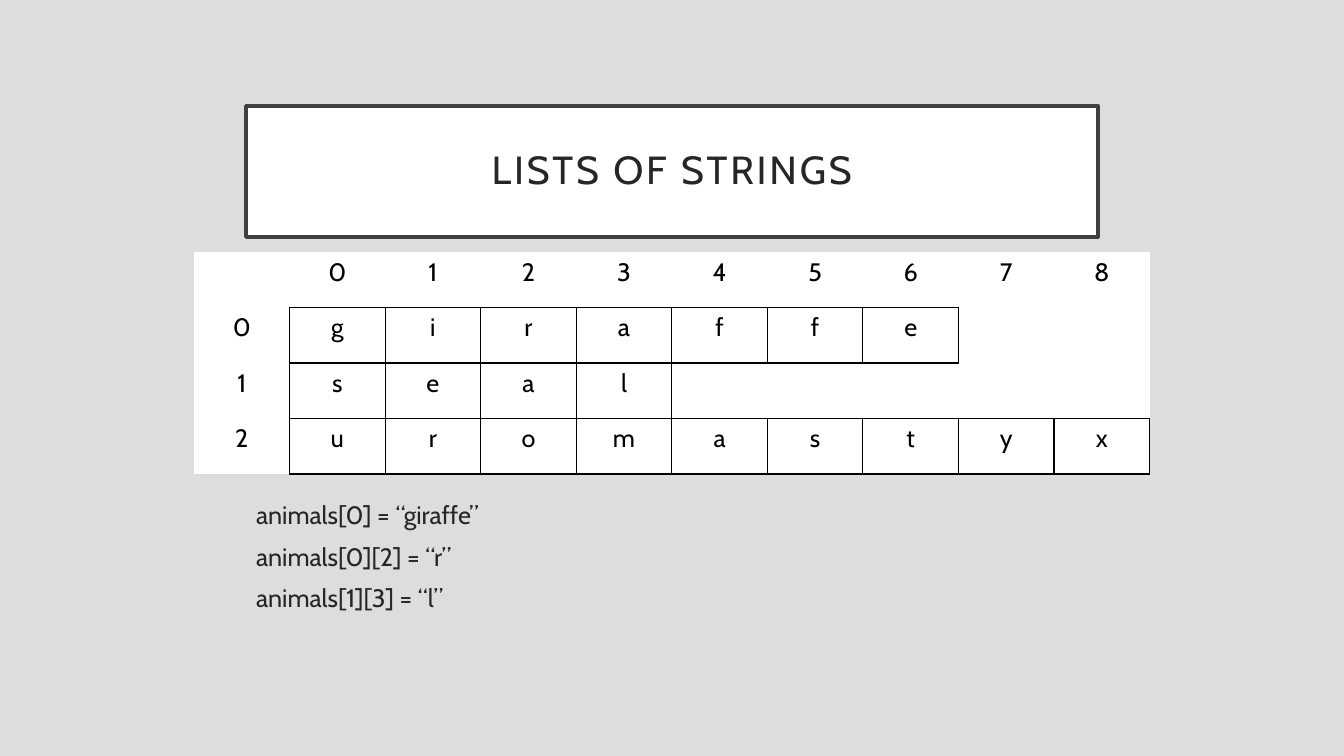
import pptx
import pptx.util
import pptx.dml.color
import pptx.enum.text
import pptx.oxml
import pptx.oxml.ns

TITLE = "LISTS OF STRINGS"
WORDS = ["giraffe", "seal", "uromastyx"]
NOTES = ["animals[0] = “giraffe”", "animals[0][2] = “r”", "animals[1][3] = “l”"]

RGB = pptx.dml.color.RGBColor
GREY = RGB(0xDD, 0xDD, 0xDD)
WHITE = RGB(0xFF, 0xFF, 0xFF)
BLACK = RGB(0, 0, 0)
INK = RGB(0x26, 0x26, 0x26)
EDGE = RGB(0x40, 0x40, 0x40)
FONT = "Cabin"
ALIGN = pptx.enum.text.PP_ALIGN
ANCHOR = pptx.enum.text.MSO_ANCHOR
SCALE = 914400 / 100.8
SIDES = {"L": (0, -1), "R": (0, 1), "T": (-1, 0), "B": (1, 0)}


def px(n):
    return round(n * SCALE)


def write(frame, text, size=18, color=BLACK, align=ALIGN.CENTER, lead=1, gap=0, track=0):
    for i, line in enumerate(text.split("\n")):
        para = frame.paragraphs[0] if i == 0 else frame.add_paragraph()
        para.alignment = align
        para.line_spacing = lead
        para.space_before = pptx.util.Pt(gap if i else 0)
        run = para.add_run()
        run.text = line
        run.font.size = pptx.util.Pt(size)
        run.font.name = FONT
        run.font.bold = False
        run.font.color.rgb = color
        if track:
            run.font._element.set("spc", str(track * 100))


def inset(frame, n):
    frame.margin_left = frame.margin_right = px(n)
    frame.margin_top = frame.margin_bottom = px(n)


def boxed(row, col):
    return 1 <= row <= len(WORDS) and 1 <= col <= len(WORDS[row - 1])


def border(cell, row, col):
    props = cell._tc.get_or_add_tcPr()
    for i, (side, (down, over)) in enumerate(SIDES.items()):
        drawn = boxed(row, col) or boxed(row + down, col + over)
        fill = f'<a:solidFill><a:srgbClr val="{BLACK}"/></a:solidFill>' if drawn else "<a:noFill/>"
        space = pptx.oxml.ns.nsdecls("a")
        line = pptx.oxml.parse_xml(f'<a:ln{side} {space} w="12700">{fill}</a:ln{side}>')
        props.insert(i, line)


def main():
    deck = pptx.Presentation()
    deck.slide_width, deck.slide_height = px(1344), px(756)
    slide = deck.slides.add_slide(deck.slide_layouts[5])
    slide.background.fill.solid()
    slide.background.fill.fore_color.rgb = GREY

    title = slide.shapes.title
    title.left, title.top, title.width, title.height = map(px, (246, 106, 852, 131))
    title.fill.solid()
    title.fill.fore_color.rgb = WHITE
    title.line.color.rgb = EDGE
    title.line.width = pptx.util.Pt(2.5)
    frame = title.text_frame
    frame.word_wrap = True
    frame.auto_size = pptx.enum.text.MSO_AUTO_SIZE.NONE
    frame.vertical_anchor = ANCHOR.MIDDLE
    inset(frame, 20)
    write(frame, TITLE, size=28, color=INK, lead=0.9, track=2)

    box = slide.shapes.add_textbox(*map(px, (256, 503, 832, 124)))
    box.text_frame.word_wrap = True
    inset(box.text_frame, 0)
    write(box.text_frame, "\n".join(NOTES), color=INK, align=ALIGN.LEFT, lead=0.9, gap=10)

    span = max(map(len, WORDS))
    head = [""] + [str(i) for i in range(span)]
    grid = [head] + [[str(i), *word.ljust(span)] for i, word in enumerate(WORDS)]
    shape = slide.shapes.add_table(len(grid), len(head), *map(px, (194, 252, 956, 222)))
    table = shape.table
    table.first_row = table.horz_banding = False
    for row, line in enumerate(grid):
        for col, text in enumerate(line):
            cell = table.cell(row, col)
            cell.fill.solid()
            cell.fill.fore_color.rgb = WHITE
            border(cell, row, col)
            if text.strip():
                write(cell.text_frame, text)

    deck.save("out.pptx")


if __name__ == "__main__":
    main()
